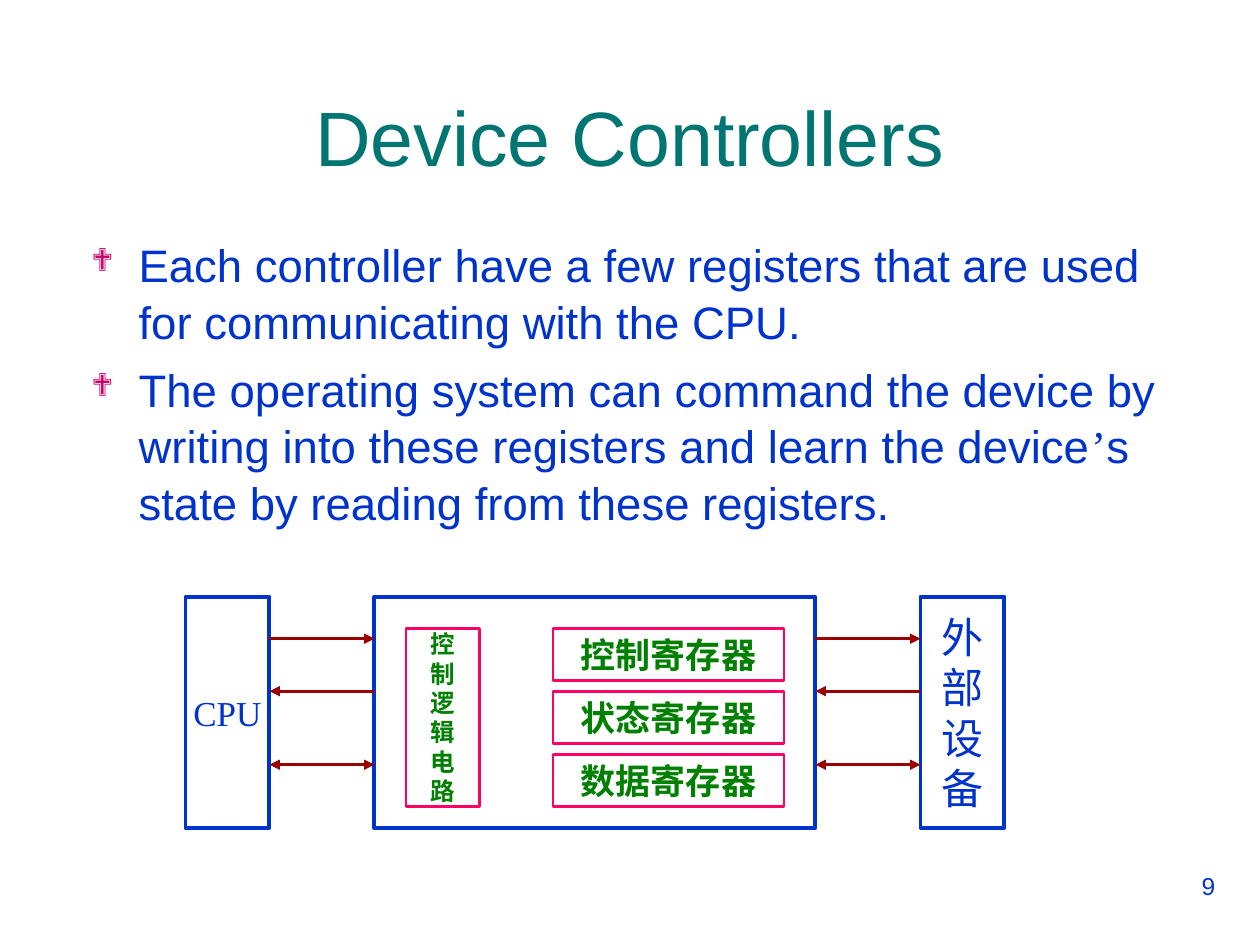
from pptx import Presentation
from pptx.dml.color import RGBColor
from pptx.enum.shapes import MSO_CONNECTOR, MSO_SHAPE
from pptx.enum.text import MSO_ANCHOR, MSO_AUTO_SIZE, PP_ALIGN
from pptx.oxml.ns import qn
from pptx.util import Pt
from lxml.etree import SubElement

COLORS = {
    "title": "007572",
    "blue": "0033CC",
    "bullet": "CC0066",
    "pink": "FF0066",
    "green": "008000",
    "arrow": "990000",
}
SANS, SERIF = "Arial", "Times New Roman"


def color(name):
    return RGBColor.from_string(COLORS[name])


def place(shape, box):
    shape.left, shape.top, shape.width, shape.height = [Pt(value) for value in box]


def add_run(paragraph, text, size, ink, font=SANS, bold=False):
    run = paragraph.add_run()
    run.text = text
    run.font.size = Pt(size)
    run.font.name = font
    run.font.bold = bold
    run.font.color.rgb = color(ink)


def add_bullet(paragraph):
    properties = paragraph._p.get_or_add_pPr()
    properties.set("marL", str(Pt(27)))
    properties.set("indent", str(-Pt(27)))
    bullet_color = SubElement(properties, qn("a:buClr"))
    SubElement(bullet_color, qn("a:srgbClr"), val=COLORS["bullet"])
    SubElement(properties, qn("a:buSzPct"), val="70000")
    SubElement(properties, qn("a:buFont"), typeface="Wingdings")
    SubElement(properties, qn("a:buChar"), char="❖")


def fill_title(shape, box):
    place(shape, box)
    frame = shape.text_frame
    frame.auto_size = MSO_AUTO_SIZE.NONE
    frame.vertical_anchor = MSO_ANCHOR.MIDDLE
    paragraph = frame.paragraphs[0]
    paragraph.alignment = PP_ALIGN.CENTER
    add_run(paragraph, "Device Controllers", 44, "title")


def fill_body(shape, box):
    place(shape, box)
    frame = shape.text_frame
    frame.auto_size = MSO_AUTO_SIZE.NONE
    items = [
        [("Each controller have a few registers that are used for "
          "communicating with the CPU.", SANS)],
        [("The operating system can command the device by writing into "
          "these registers and learn the device", SANS),
         ("’", SERIF),
         ("s state by reading from these registers.", SANS)],
    ]
    for index, runs in enumerate(items):
        paragraph = frame.add_paragraph() if index else frame.paragraphs[0]
        add_bullet(paragraph)
        paragraph.line_spacing = 1.04
        paragraph.space_before = Pt(6.5 if index else 0)
        for text, font in runs:
            add_run(paragraph, text, 26, "blue", font)


def add_slide_number(slide, box):
    shape = slide.shapes.add_textbox(*[Pt(value) for value in box])
    shape.text_frame.word_wrap = True
    paragraph = shape.text_frame.paragraphs[0]
    paragraph.alignment = PP_ALIGN.RIGHT
    add_run(paragraph, "9", 14, "blue")


def add_block(shapes, box, lines, size, edge, weight, ink, bold=False):
    shape = shapes.add_shape(MSO_SHAPE.RECTANGLE, *[Pt(value) for value in box])
    shape.shadow.inherit = False
    shape.fill.background()
    shape.line.color.rgb = color(edge)
    shape.line.width = Pt(weight)
    frame = shape.text_frame
    frame.word_wrap = False
    frame.vertical_anchor = MSO_ANCHOR.MIDDLE
    for index, text in enumerate(lines):
        paragraph = frame.add_paragraph() if index else frame.paragraphs[0]
        paragraph.alignment = PP_ALIGN.CENTER
        add_run(paragraph, text, size, ink, SERIF, bold)


def add_arrow(shapes, start, end, y, both_ends=False):
    connector = shapes.add_connector(
        MSO_CONNECTOR.STRAIGHT, Pt(start), Pt(y), Pt(end), Pt(y))
    connector.line.color.rgb = color("arrow")
    connector.line.width = Pt(1.5)
    line = connector.line._get_or_add_ln()
    if both_ends:
        SubElement(line, qn("a:headEnd"), type="triangle")
    SubElement(line, qn("a:tailEnd"), type="triangle")
    SubElement(connector._element.spPr, qn("a:effectLst"))


def add_diagram(slide, box):
    left, top, width, height = box
    side, gap = 48, 60
    controller_left = left + side + gap
    controller_width = width - 2 * (side + gap)
    controller_right = controller_left + controller_width
    device_left = left + width - side
    shapes = slide.shapes.add_group_shape().shapes

    for x, block_width, lines, size in [
        (left, side, ["CPU"], 20),
        (controller_left, controller_width, [], 20),
        (device_left, side, "外部设备", 24),
    ]:
        add_block(shapes, (x, top, block_width, height), lines, size,
                  "blue", 2.25, "blue")

    inner_top = top + 18
    add_block(shapes, (controller_left + 18, inner_top, 42, 102),
              "控制逻辑电路", 14, "pink", 1.5, "green", True)
    for row, name in enumerate(["控制寄存器", "状态寄存器", "数据寄存器"]):
        add_block(shapes, (controller_left + 102, inner_top + 36 * row, 132, 30),
                  [name], 20, "pink", 1.5, "green", True)

    for start, end in [(left + side, controller_left), (controller_right, device_left)]:
        add_arrow(shapes, start, end, top + 24)
        add_arrow(shapes, end, start, top + 54)
        add_arrow(shapes, start, end, top + 96, both_ends=True)


def main():
    presentation = Presentation()
    presentation.slide_width, presentation.slide_height = Pt(720), Pt(540)
    slide = presentation.slides.add_slide(presentation.slide_layouts[1])
    fill_title(slide.shapes.title, (24, 32.5, 672, 90))
    fill_body(slide.placeholders[1], (45, 130.5, 648, 185))
    add_slide_number(slide, (521.5, 494, 180, 37.5))
    add_diagram(slide, (106, 341, 468, 132))
    presentation.save("out.pptx")


if __name__ == "__main__":
    main()
